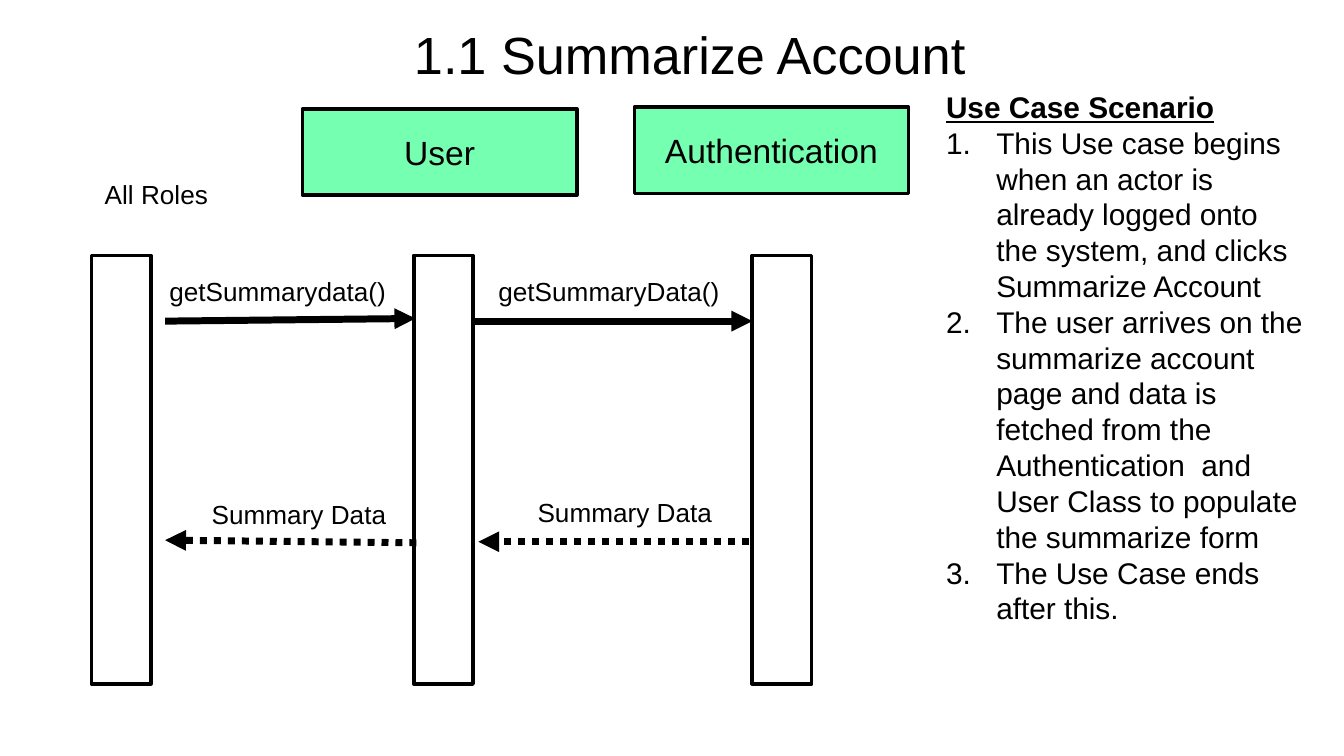
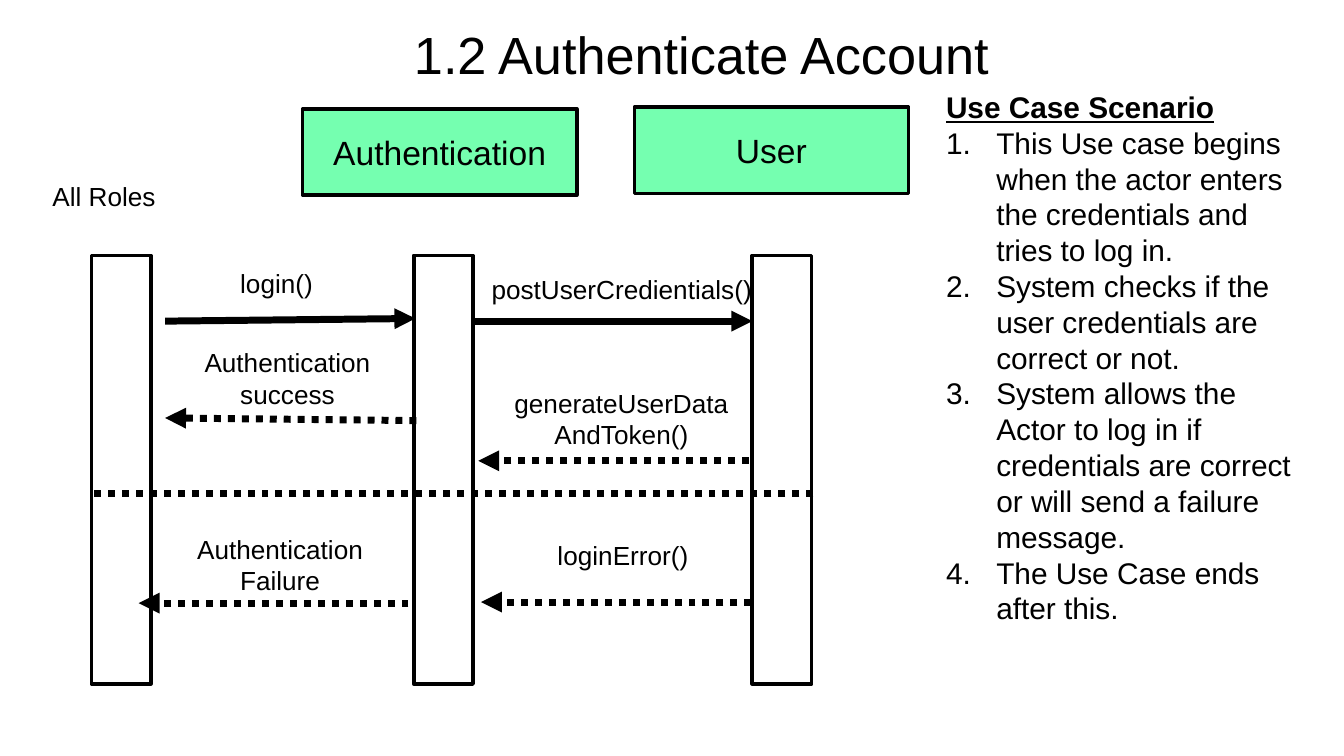
from dataclasses import dataclass

from lxml import etree
from pptx import Presentation
from pptx import util as u
from pptx.dml.color import RGBColor
from pptx.enum import dml, shapes, text
from pptx.oxml.ns import qn


@dataclass(frozen=True)
class Theme:
    font: str = "Arial"
    ink: RGBColor = RGBColor(0, 0, 0)
    mint: RGBColor = RGBColor(0x75, 0xFF, 0xB0)
    title: int = 28
    participant: int = 18
    scenario: int = 16
    label: int = 14
    outline: float = 2
    arrow: float = 3.75


LEFT, CENTER = text.PP_ALIGN.LEFT, text.PP_ALIGN.CENTER
LIFELINES = (1.73, 7.82, 14.22)
PARTICIPANTS = ((5.72, 2.06), (11.99, 2.03))
LABEL_HEIGHT = 0.86
TWO_LINES = 1.45


class SequenceDeck:
    def __init__(self, theme):
        self.theme = theme
        self.deck = Presentation()
        self.deck.slide_width, self.deck.slide_height = u.Cm(25.4), u.Cm(14.29)
        self.slide = None

    def run(self, paragraph, words, size, bold=False, underline=False):
        run = paragraph.add_run()
        run.text = words
        font = run.font
        font.name, font.size = self.theme.font, u.Pt(size)
        font.bold, font.underline = bold, underline
        font.color.rgb = self.theme.ink

    def growing(self, frame):
        frame.word_wrap = True
        frame.auto_size = text.MSO_AUTO_SIZE.SHAPE_TO_FIT_TEXT
        frame.vertical_anchor = text.MSO_ANCHOR.TOP
        return frame

    def text_box(self, left, top, width, height):
        box = self.slide.shapes.add_textbox(*map(u.Cm, (left, top, width, height)))
        return self.growing(box.text_frame)

    def title(self, words):
        self.slide = self.deck.slides.add_slide(self.deck.slide_layouts[5])
        heading = self.slide.shapes.title
        heading.left, heading.top = u.Cm(7.57), u.Cm(0.3)
        heading.width, heading.height = u.Cm(12.01), u.Cm(1.45)
        paragraph = self.growing(heading.text_frame).paragraphs[0]
        paragraph.alignment = LEFT
        self.run(paragraph, words, self.theme.title)

    def scenario(self, steps):
        frame = self.text_box(17.63, 1.55, 7.26, 10.52)
        self.run(frame.paragraphs[0], "Use Case Scenario", self.theme.scenario, True, True)
        for step in steps:
            paragraph = frame.add_paragraph()
            self.run(paragraph, step, self.theme.scenario)
            self.number(paragraph)

    def number(self, paragraph):
        properties = paragraph._p.get_or_add_pPr()
        indent = u.Cm(0.95)
        properties.set("marL", str(indent))
        properties.set("indent", str(-indent))
        colour = etree.SubElement(properties, qn("a:buClr"))
        etree.SubElement(colour, qn("a:srgbClr"), val=str(self.theme.ink))
        etree.SubElement(properties, qn("a:buFont"), typeface=self.theme.font)
        etree.SubElement(properties, qn("a:buAutoNum"), type="arabicPeriod")

    def rectangle(self, left, top, width, height, fill=None):
        rectangle = self.slide.shapes.add_shape(
            shapes.MSO_SHAPE.RECTANGLE, *map(u.Cm, (left, top, width, height)))
        rectangle.shadow.inherit = False
        if fill is None:
            rectangle.fill.background()
        else:
            rectangle.fill.solid()
            rectangle.fill.fore_color.rgb = fill
        rectangle.line.color.rgb = self.theme.ink
        rectangle.line.width = u.Pt(self.theme.outline)
        return rectangle

    def participant(self, name, left, top):
        frame = self.rectangle(left, top, 5.18, 1.63, self.theme.mint).text_frame
        frame.vertical_anchor = text.MSO_ANCHOR.MIDDLE
        frame.paragraphs[0].alignment = CENTER
        self.run(frame.paragraphs[0], name, self.theme.participant)

    def label(self, words, left, top, width, height=LABEL_HEIGHT, align=LEFT):
        paragraph = self.text_box(left, top, width, height).paragraphs[0]
        paragraph.alignment = align
        for index, line in enumerate(words.split("\n")):
            if index:
                paragraph.add_line_break()
            self.run(paragraph, line, self.theme.label)

    def line(self, start_x, start_y, end_x, end_y, dotted=False, arrow=True):
        connector = self.slide.shapes.add_connector(
            shapes.MSO_CONNECTOR.STRAIGHT, *map(u.Cm, (start_x, start_y, end_x, end_y)))
        connector.line.color.rgb = self.theme.ink
        connector.line.width = u.Pt(self.theme.arrow)
        if dotted:
            connector.line.dash_style = dml.MSO_LINE.ROUND_DOT
        if arrow:
            etree.SubElement(connector.line._get_or_add_ln(), qn("a:tailEnd"), type="triangle")
        etree.SubElement(connector._element.spPr, qn("a:effectLst"))

    def reply(self, start_x, start_y, end_x, end_y):
        self.line(start_x, start_y, end_x, end_y, dotted=True)

    def use_case(self, title, steps, participants, roles_at):
        self.title(title)
        self.scenario(steps)
        for left in LIFELINES:
            self.rectangle(left, 4.83, 1.12, 8.1)
        for name, place in zip(participants, PARTICIPANTS):
            self.participant(name, *place)
        self.label("All Roles", *roles_at, 3.84)
        self.line(3.12, 6.07, 7.85, 6.02)
        self.line(8.97, 6.07, 14.22, 6.07)


sequence = SequenceDeck(Theme())

sequence.use_case(
    "1.1 Summarize Account",
    ("This Use case begins when an actor is already logged onto the system, "
     "and clicks Summarize Account",
     "The user arrives on the summarize account page and data is fetched from the "
     "Authentication  and User Class to populate the summarize form",
     "The Use Case ends after this."),
    ("User", "Authentication"), (1.73, 3.25))
sequence.label("getSummarydata()", 2.95, 5.08, 4.93)
sequence.label("getSummaryData()", 9.17, 5.08, 5.74)
sequence.reply(14.15, 10.24, 9.04, 10.24)
sequence.label("Summary Data", 9.91, 9.25, 12.7)
sequence.reply(7.87, 10.26, 3.12, 10.21)
sequence.label("Summary Data", 3.75, 9.3, 5.33)

sequence.use_case(
    "1.2 Authenticate Account",
    ("This Use case begins when the actor enters the credentials and tries to log in.",
     "System checks if the user credentials are correct or not.",
     "System allows the Actor to log in if credentials are correct or will send "
     "a failure message.",
     "The Use Case ends after this."),
    ("Authentication", "User"), (0.74, 3.28))
sequence.label("login()", 4.29, 4.93, 3.84)
sequence.label("postUserCredientials()", 9.04, 5.05, 5.84)
sequence.reply(14.15, 8.71, 9.04, 8.71)
sequence.label("generateUserData\nAndToken()", 9.37, 7.19, 4.75, TWO_LINES, CENTER)
sequence.reply(7.87, 7.95, 3.12, 7.9)
sequence.label("Authentication success", 2.77, 6.43, 5.33, TWO_LINES, CENTER)
sequence.line(15.37, 9.32, 1.73, 9.32, dotted=True, arrow=False)
sequence.reply(14.2, 11.38, 9.09, 11.38)
sequence.label("loginError()", 9.4, 10.08, 4.75, align=CENTER)
sequence.reply(7.72, 11.4, 2.62, 11.4)
sequence.label("Authentication Failure", 2.92, 9.96, 4.75, TWO_LINES, CENTER)

sequence.deck.save("out.pptx")
